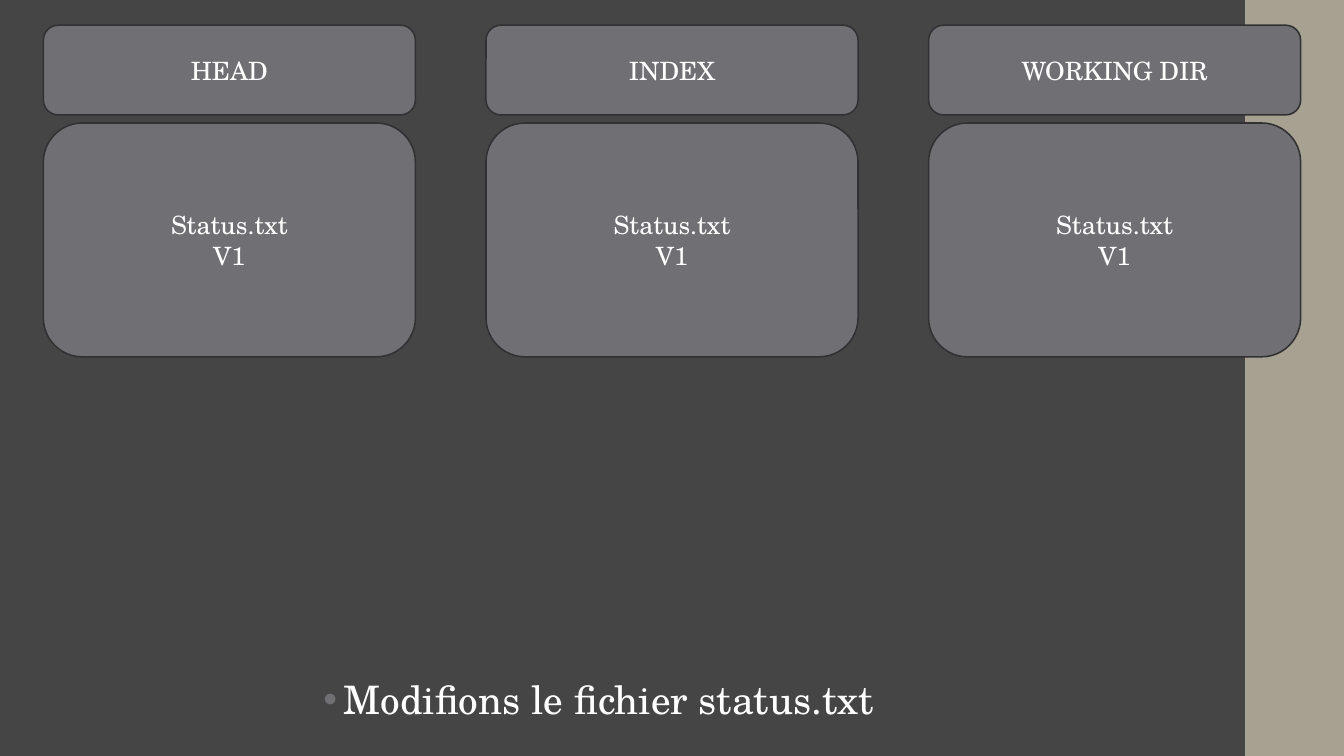
from lxml import etree
from pptx import Presentation
from pptx import util as u
from pptx.dml.color import RGBColor
from pptx.enum import shapes, text
from pptx.oxml import ns

FONT = "TeX Gyre Schola"
DARK = RGBColor(0x45, 0x45, 0x45)
SAND = RGBColor(0xA7, 0xA1, 0x92)
GREY = RGBColor(0x6F, 0x6F, 0x74)
EDGE = RGBColor(0x31, 0x31, 0x33)
WHITE = RGBColor(0xFF, 0xFF, 0xFF)
WIDE, HIGH = 1333, 750
STATES = [("HEAD", "Status.txt\nV1"), ("INDEX", "Status.txt\nV1"),
          ("WORKING DIR", "Status.txt\nV1")]


def px(num):
    return u.Emu(num * 9144)


def style(para, size):
    para.font.name = FONT
    para.font.size = u.Pt(size)
    para.font.color.rgb = WHITE


def add_box(slide, kind, box, fill):
    shape = slide.shapes.add_shape(kind, *map(px, box))
    shape.shadow.inherit = False
    shape.fill.solid()
    shape.fill.fore_color.rgb = fill
    shape.line.fill.background()
    return shape


def add_card(slide, box, label):
    card = add_box(slide, shapes.MSO_SHAPE.ROUNDED_RECTANGLE, box, GREY)
    card.line.color.rgb = EDGE
    card.line.width = u.Pt(1.1)
    frame = card.text_frame
    frame.text = label
    frame.vertical_anchor = text.MSO_ANCHOR.MIDDLE
    for para in frame.paragraphs:
        para.alignment = text.PP_ALIGN.CENTER
        style(para, 18)


def add_state(slide, box, title, body):
    left, top, width, height = box
    head, gap = 89, 8
    add_card(slide, (left, top, width, head), title)
    add_card(slide, (left, top + head + gap, width, height - head - gap), body)


def add_states(slide, box):
    left, top, width, height = box
    card = 369
    step = (width - card) // (len(STATES) - 1)
    for i, (title, body) in enumerate(STATES):
        add_state(slide, (left + i * step, top, card, height), title, body)


def add_note(slide, box, label):
    frame = slide.shapes.add_textbox(*map(px, box)).text_frame
    frame.word_wrap = True
    frame.text = label
    para = frame.paragraphs[0]
    para.level = 1
    para.line_spacing = 0.9
    para.space_after = u.Pt(3)
    props = para._p.get_or_add_pPr()
    props.set("marL", str(px(50)))
    props.set("indent", str(px(-20)))
    tint = etree.SubElement(props, ns.qn("a:buClr"))
    etree.SubElement(tint, ns.qn("a:srgbClr"), val=str(GREY))
    etree.SubElement(props, ns.qn("a:buFont"), typeface="Arial")
    etree.SubElement(props, ns.qn("a:buChar"), char="•")
    style(para, 28)


def main():
    deck = Presentation()
    deck.slide_width, deck.slide_height = px(WIDE), px(HIGH)
    slide = deck.slides.add_slide(deck.slide_layouts[6])
    slide.background.fill.solid()
    slide.background.fill.fore_color.rgb = DARK
    add_box(slide, shapes.MSO_SHAPE.RECTANGLE, (1235, 0, WIDE - 1235, HIGH), SAND)
    add_states(slide, (43, 25, 1247, 329))
    add_note(slide, (281, 670, 771, 55), "Modifions le fichier status.txt")
    deck.save("out.pptx")


if __name__ == "__main__":
    main()
